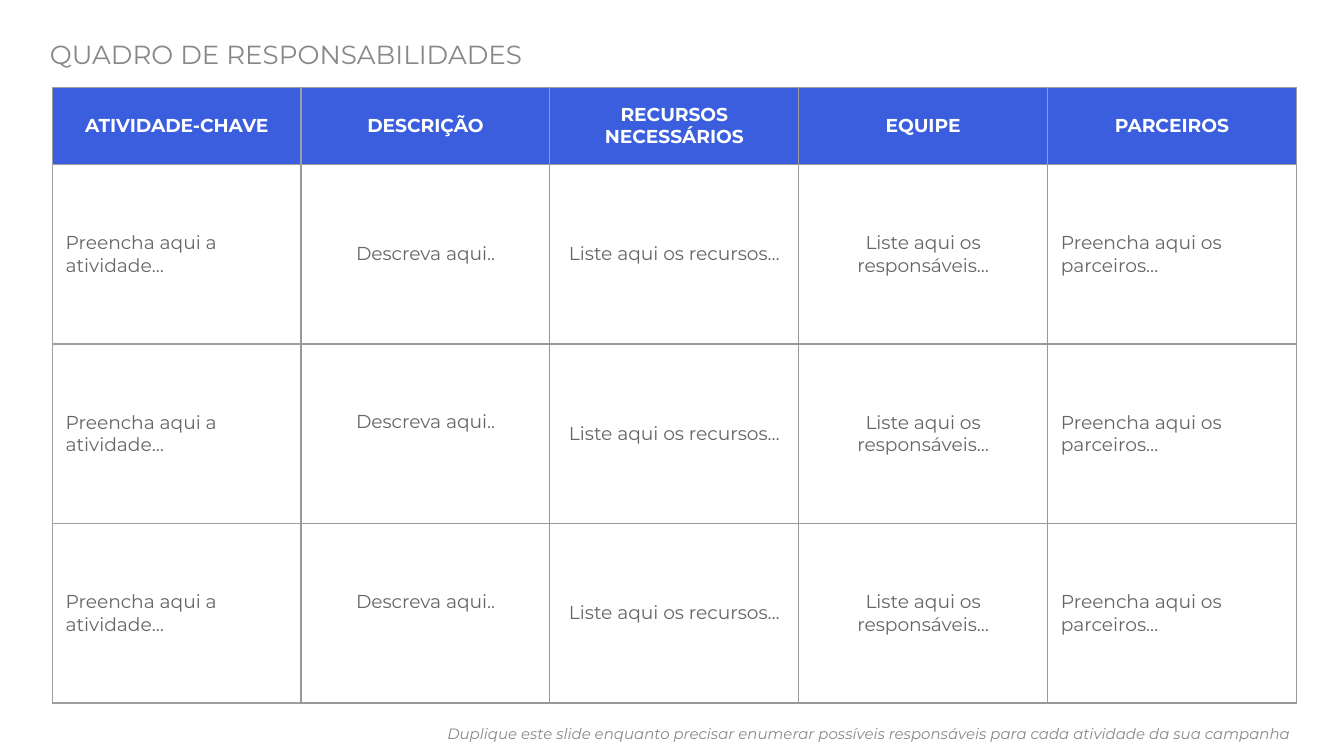
from lxml import etree
from pptx import Presentation
from pptx import util as u
from pptx.dml import color
from pptx.enum import text
from pptx.oxml import ns

COLORS = {"header": "3A5EDD", "white": "FFFFFF", "body": "666666",
          "muted": "888888", "outer": "9E9E9E", "inner": "999999"}
FONT = "Montserrat"
INSET = 7.2
LEFT, CENTER, RIGHT = text.PP_ALIGN.LEFT, text.PP_ALIGN.CENTER, text.PP_ALIGN.RIGHT

HEADERS = ["ATIVIDADE-CHAVE", "DESCRIÇÃO", "RECURSOS\nNECESSÁRIOS", "EQUIPE", "PARCEIROS"]
PROMPTS = [("Preencha aqui a atividade…", LEFT), ("Descreva aqui..", CENTER),
           ("Liste aqui os recursos…", CENTER), ("Liste aqui os responsáveis…", CENTER),
           ("Preencha aqui os parceiros…", LEFT)]
ACTIVITY_ROWS = 3
HEADER_HEIGHT = 41.3


def rgb(name):
    """Return the named palette colour."""
    return color.RGBColor.from_string(COLORS[name])


def set_insets(area):
    """Give a cell or text frame equal insets on all sides."""
    area.margin_left = area.margin_right = u.Pt(INSET)
    area.margin_top = area.margin_bottom = u.Pt(INSET)


def write(frame, wording, size, hue, align, bold=False, italic=False):
    """Write each line of the wording as one formatted paragraph."""
    frame.word_wrap = True
    for index, line in enumerate(wording.split("\n")):
        paragraph = frame.add_paragraph() if index else frame.paragraphs[0]
        paragraph.alignment = align
        run = paragraph.add_run()
        run.text = line
        run.font.name, run.font.size = FONT, u.Pt(size)
        run.font.bold, run.font.italic = bold, italic
        run.font.color.rgb = rgb(hue)


def set_borders(cell, hue):
    """Draw thin solid lines on the four sides of a cell."""
    properties = cell._tc.get_or_add_tcPr()
    for side in ("a:lnL", "a:lnR", "a:lnT", "a:lnB"):
        line = etree.SubElement(properties, ns.qn(side), w=str(u.Pt(0.75)))
        fill = etree.SubElement(line, ns.qn("a:solidFill"))
        etree.SubElement(fill, ns.qn("a:srgbClr"), val=COLORS[hue])


def fill_cell(cell, wording, align, hue, fill, border, bold=False):
    """Format one table cell and write its wording."""
    set_borders(cell, border)
    if fill:
        cell.fill.solid()
        cell.fill.fore_color.rgb = rgb(fill)
    else:
        cell.fill.background()
    set_insets(cell)
    cell.vertical_anchor = text.MSO_ANCHOR.MIDDLE
    write(cell.text_frame, wording, 10, hue, align, bold=bold)


def add_heading(slide, left, top, width, height):
    """Place the slide title in its placeholder."""
    heading = slide.shapes.title
    heading.left, heading.top = u.Pt(left), u.Pt(top)
    heading.width, heading.height = u.Pt(width), u.Pt(height)
    frame = heading.text_frame
    set_insets(frame)
    frame.auto_size = text.MSO_AUTO_SIZE.NONE
    frame.vertical_anchor = text.MSO_ANCHOR.MIDDLE
    write(frame, "QUADRO DE RESPONSABILIDADES", 14, "muted", LEFT)


def add_responsibilities(slide, left, top, width, height):
    """Place the responsibilities table with equal columns and activity rows."""
    board = slide.shapes.add_table(ACTIVITY_ROWS + 1, len(HEADERS), u.Pt(left), u.Pt(top),
                                   u.Pt(width), u.Pt(height)).table
    board.first_row = board.horz_banding = False
    for column in board.columns:
        column.width = u.Pt(width / len(HEADERS))
    for index, row in enumerate(board.rows):
        activity_height = (height - HEADER_HEIGHT) / ACTIVITY_ROWS
        row.height = u.Pt(activity_height if index else HEADER_HEIGHT)
    for col, header in enumerate(HEADERS):
        fill_cell(board.cell(0, col), header, CENTER, "white", "header", "outer", bold=True)
    for row in range(1, ACTIVITY_ROWS + 1):
        for col, (prompt, align) in enumerate(PROMPTS):
            fill_cell(board.cell(row, col), prompt, align, "body",
                      "white" if col else None, "inner" if col else "outer")
        if row > 1:
            board.cell(row, 1).margin_bottom = u.Pt(INSET + 12.2)


def add_hint(slide, left, top, width, height):
    """Place the right-aligned usage hint below the table."""
    frame = slide.shapes.add_textbox(u.Pt(left), u.Pt(top), u.Pt(width), u.Pt(height)).text_frame
    set_insets(frame)
    frame.vertical_anchor = text.MSO_ANCHOR.MIDDLE
    write(frame, "Duplique este slide enquanto precisar enumerar possíveis responsáveis "
          "para cada atividade da sua campanha", 8, "muted", RIGHT, italic=True)
    frame.paragraphs[0].line_spacing = 1.15


def main():
    """Build and save the slide."""
    deck = Presentation()
    deck.slide_width, deck.slide_height = u.Pt(720), u.Pt(405)
    slide = deck.slides.add_slide(deck.slide_layouts[5])
    add_heading(slide, 19.5, 18, 572.5, 21.6)
    add_responsibilities(slide, 28, 46.8, 666.5, 329.9)
    add_hint(slide, 182.9, 381.6, 516.2, 21.6)
    deck.save("out.pptx")


if __name__ == "__main__":
    main()
